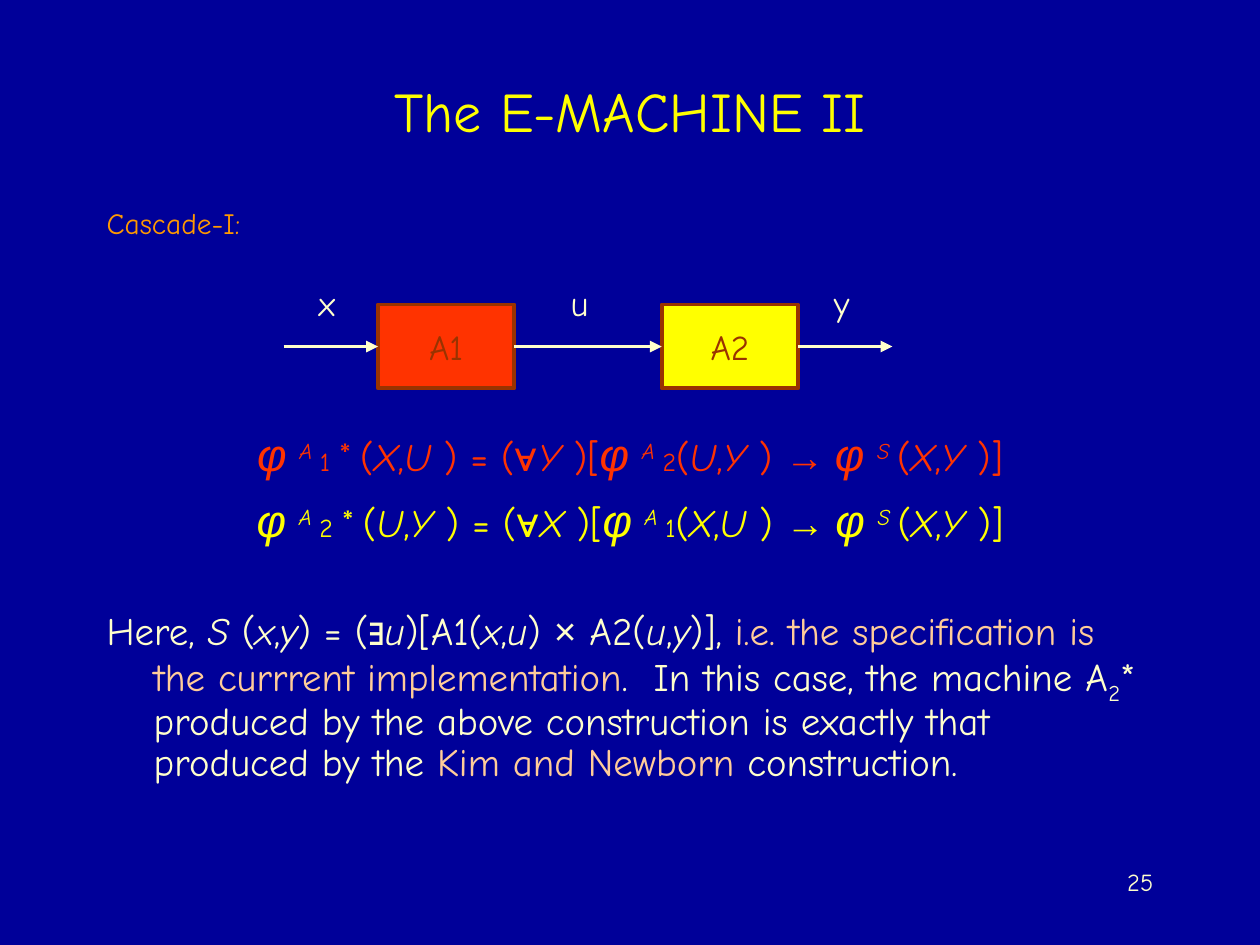
from lxml import etree
from pptx import Presentation
from pptx.dml.color import RGBColor
from pptx.enum.shapes import MSO_CONNECTOR, MSO_SHAPE
from pptx.enum.text import MSO_ANCHOR, PP_ALIGN
from pptx.oxml.ns import qn
from pptx.util import Cm, Pt

RECTANGLE, STRAIGHT = MSO_SHAPE.RECTANGLE, MSO_CONNECTOR.STRAIGHT
TOP, MIDDLE = MSO_ANCHOR.TOP, MSO_ANCHOR.MIDDLE
LEFT, CENTER, RIGHT = PP_ALIGN.LEFT, PP_ALIGN.CENTER, PP_ALIGN.RIGHT

NAVY, YELLOW, ORANGE, RED = "000099", "FFFF00", "FF9900", "FF3300"
BROWN, CREAM, PEACH = "993300", "FFFFCC", "FFCC99"
TEXT_FONT, SYMBOL_FONT = "Comic Neue", "Arial"

# Run styles: font attributes, plus a baseline shift in percent
PLAIN = {"name": TEXT_FONT, "size": Pt(22.2)}
VARIABLE = {**PLAIN, "italic": True}
SYMBOL = {**PLAIN, "name": SYMBOL_FONT}
PHI = {"name": SYMBOL_FONT, "size": Pt(25.9), "italic": True}
SUPERSCRIPT = {**VARIABLE, "baseline": 30}
SUBSCRIPT = {**PLAIN, "baseline": -25}
INDEX = {**PLAIN, "size": Pt(14.8)}
STAR = {"name": SYMBOL_FONT, "size": Pt(29.6), "baseline": 30}

# Diagram measures in cm
BOX_WIDTH, BOX_HEIGHT, BOX_TOP = 2.75, 1.69, 6.14
FIRST_BOX, BOX_PITCH, OUTER_ARROW = 7.62, 5.72, 1.9
LABEL_TOP, LABEL_WIDTH, LABEL_HEIGHT = 5.54, 0.85, 1.12


def rgb(hex_colour):
    return RGBColor.from_string(hex_colour)


def add_runs(paragraph, runs, colour):
    for text, style in runs:
        run = paragraph.add_run()
        run.text = text
        run.font.color.rgb = rgb(style.get("colour", colour))
        for attribute in ("name", "size", "italic"):
            if attribute in style:
                setattr(run.font, attribute, style[attribute])
        if "baseline" in style:
            run._r.get_or_add_rPr().set("baseline", str(style["baseline"] * 1000))


def format_paragraph(paragraph, hanging=False, **settings):
    for attribute, value in settings.items():
        setattr(paragraph, attribute, value)
    if hanging:
        indent = Cm(0.95)
        properties = paragraph._p.get_or_add_pPr()
        properties.set("marL", str(indent))
        properties.set("indent", str(-indent))


def add_frame(slide, left, top, width, height, anchor=TOP, wrap=True):
    box = slide.shapes.add_textbox(Cm(left), Cm(top), Cm(width), Cm(height))
    frame = box.text_frame
    frame.word_wrap = wrap
    frame.vertical_anchor = anchor
    return frame


def write_line(frame, text, size, colour, **settings):
    paragraph = frame.paragraphs[0]
    format_paragraph(paragraph, **settings)
    add_runs(paragraph, [(text, {"name": TEXT_FONT, "size": Pt(size)})], colour)


def add_machine(slide, name, left, fill):
    box = slide.shapes.add_shape(RECTANGLE, Cm(left), Cm(BOX_TOP), Cm(BOX_WIDTH), Cm(BOX_HEIGHT))
    box.shadow.inherit = False
    box.fill.solid()
    box.fill.fore_color.rgb = rgb(fill)
    box.line.color.rgb = rgb(BROWN)
    box.line.width = Pt(2.25)
    box.text_frame.word_wrap = False
    box.text_frame.vertical_anchor = MIDDLE
    write_line(box.text_frame, name, 20, BROWN, alignment=CENTER)


def add_signal(slide, name, start, end, label_centre):
    """Arrow between machines with the name of its signal above."""
    axis = Cm(BOX_TOP + BOX_HEIGHT / 2)
    arrow = slide.shapes.add_connector(STRAIGHT, Cm(start), axis, Cm(end), axis)
    arrow.line.color.rgb = rgb(CREAM)
    arrow.line.width = Pt(2.25)
    etree.SubElement(arrow.line._get_or_add_ln(), qn("a:tailEnd"), type="triangle")
    etree.SubElement(arrow._element.spPr, qn("a:effectLst"))
    label = add_frame(slide, label_centre - LABEL_WIDTH / 2, LABEL_TOP,
                      LABEL_WIDTH, LABEL_HEIGHT, MIDDLE, wrap=False)
    write_line(label, name, 20, CREAM, alignment=CENTER)


def add_cascade(slide):
    second_box = FIRST_BOX + BOX_PITCH
    first_end, second_end = FIRST_BOX + BOX_WIDTH, second_box + BOX_WIDTH
    add_machine(slide, "A1", FIRST_BOX, RED)
    add_machine(slide, "A2", second_box, YELLOW)
    add_signal(slide, "x", FIRST_BOX - OUTER_ARROW, FIRST_BOX, 6.59)
    add_signal(slide, "u", first_end, second_box, 11.68)
    add_signal(slide, "y", second_end, second_end + OUTER_ARROW, 16.97)


def arguments(first, second):
    return [("(", PLAIN), (first, VARIABLE), (",", PLAIN), (second, VARIABLE)]


def construction(machine, own, bound, other, others):
    """Runs of the formula for one machine, given the other machine."""
    return [
        ("φ ", PHI), ("A ", SUPERSCRIPT), (machine, INDEX), ("∗", STAR),
        *arguments(*own), (") = (", PLAIN), ("∀", SYMBOL), (bound, VARIABLE), (")[", PLAIN),
        ("φ ", PHI), ("A ", SUPERSCRIPT), (other, INDEX),
        *arguments(*others), (") ", PLAIN), ("→ ", SYMBOL),
        ("φ ", PHI), ("S ", SUPERSCRIPT), *arguments("X", "Y "), (")]", PLAIN),
    ]


def explanation():
    highlight = {**PLAIN, "colour": PEACH}
    return [
        ("Here, ", PLAIN), ("S ", VARIABLE), *arguments("x", "y"), (") = (", PLAIN),
        ("∃", SYMBOL), ("u", VARIABLE), (")[A1", PLAIN), *arguments("x", "u"),
        (") ", PLAIN), ("×", SYMBOL), (" A2", PLAIN), *arguments("u", "y"), (")], ", PLAIN),
        ("i.e. the specification is the currrent implementation", highlight),
        (".  In this case, the machine A", PLAIN), ("2", SUBSCRIPT),
        ("* produced by the above construction is exactly that produced by the ", PLAIN),
        ("Kim and Newborn", highlight), (" construction.", PLAIN),
    ]


def add_body(slide):
    frame = add_frame(slide, 1.9, 8.47, 21.6, 8.47)
    machine_1, machine_2 = ("X", "U "), ("U", "Y ")
    paragraphs = [
        (construction("1", machine_1, "Y ", "2", machine_2), RED, CENTER, 6),
        (construction("2", machine_2, "X ", "1", machine_1), YELLOW, CENTER, 6),
        (explanation(), CREAM, LEFT, 36),
    ]
    for number, (runs, colour, alignment, space) in enumerate(paragraphs):
        paragraph = frame.add_paragraph() if number else frame.paragraphs[0]
        format_paragraph(paragraph, hanging=True, alignment=alignment,
                         line_spacing=0.9, space_before=Pt(space))
        add_runs(paragraph, runs, colour)


def main():
    deck = Presentation()
    deck.slide_width, deck.slide_height = Cm(25.4), Cm(19.05)
    slide = deck.slides.add_slide(deck.slide_layouts[6])
    slide.background.fill.solid()
    slide.background.fill.fore_color.rgb = rgb(NAVY)

    title = add_frame(slide, 1.9, 0.64, 21.6, 3.18, MIDDLE)
    write_line(title, "The E-MACHINE II", 32, YELLOW, alignment=CENTER)
    heading = add_frame(slide, 1.9, 4.01, 21.6, 1.07)
    write_line(heading, "Cascade-I:", 16.8, ORANGE, hanging=True, space_before=Pt(6))
    add_body(slide)
    add_cascade(slide)
    page_number = add_frame(slide, 18.21, 17.35, 5.29, 1.27)
    write_line(page_number, "25", 14, CREAM, alignment=RIGHT)
    deck.save("out.pptx")


if __name__ == "__main__":
    main()
